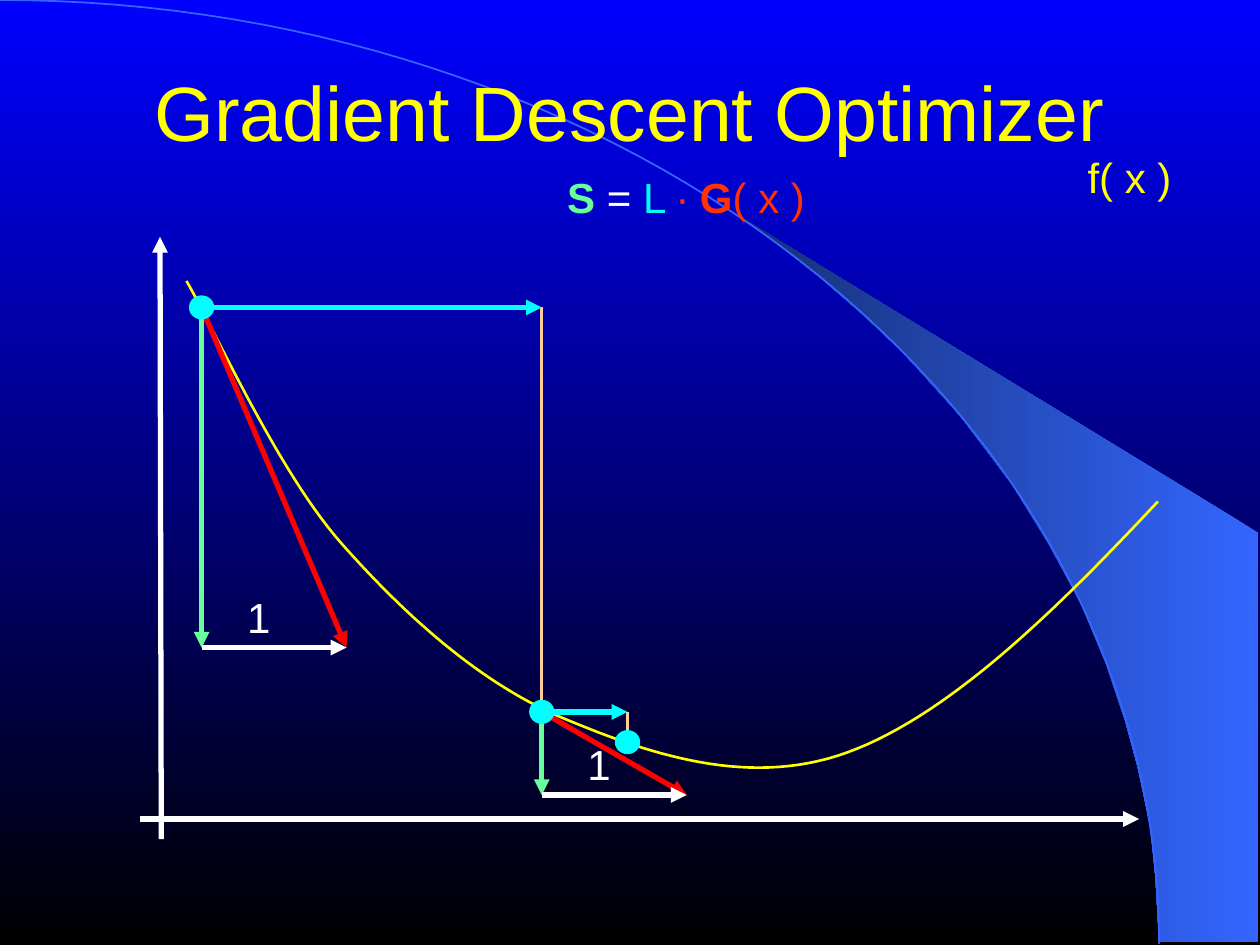
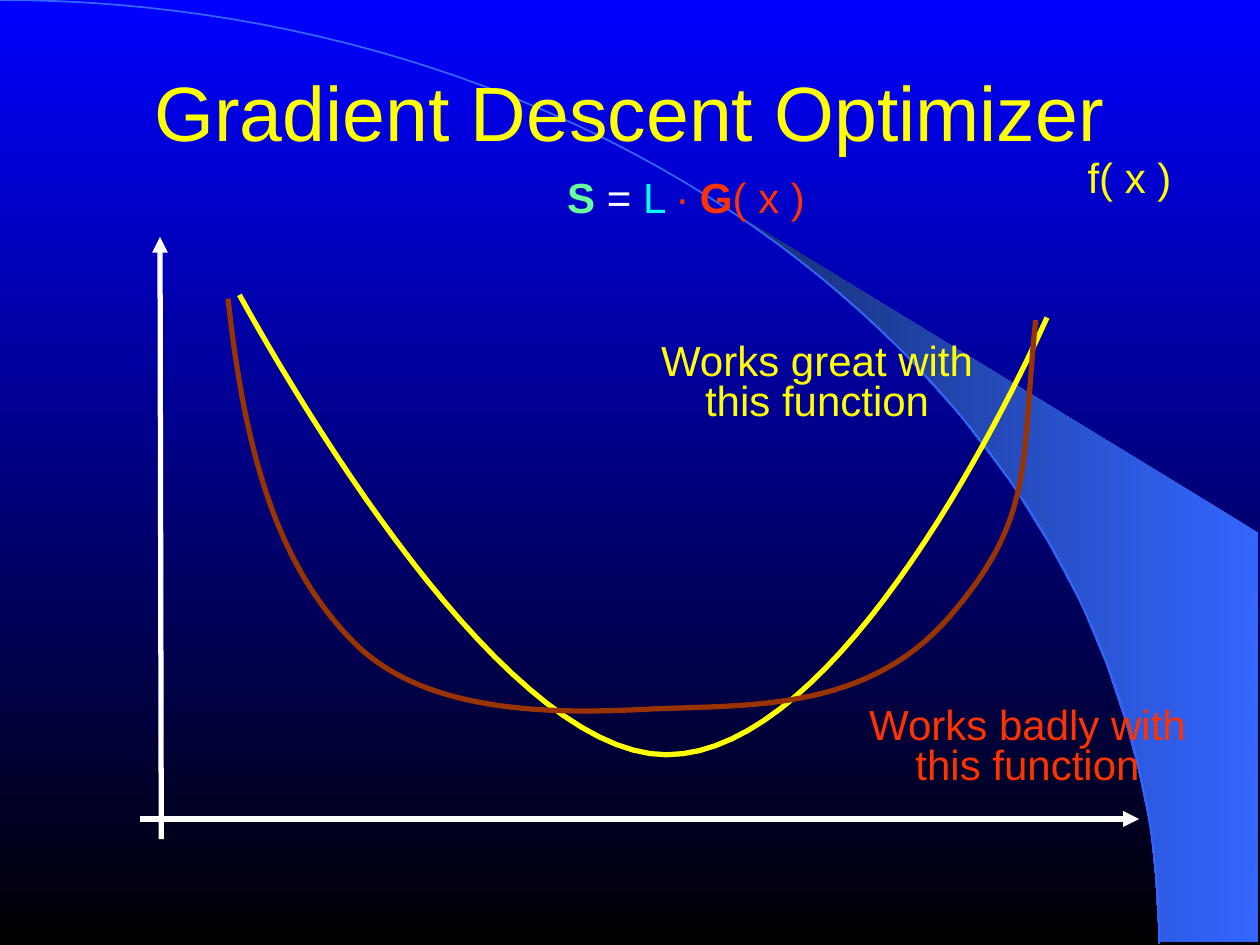
from dataclasses import dataclass
from math import cos, pi, sin

from lxml import etree
from pptx import Presentation
from pptx.dml.color import RGBColor
from pptx.dml.fill import FillFormat
from pptx.enum.shapes import MSO_CONNECTOR, MSO_SHAPE
from pptx.enum.text import MSO_ANCHOR, MSO_AUTO_SIZE, PP_ALIGN
from pptx.oxml.ns import qn
from pptx.shapes.autoshape import Shape
from pptx.slide import Slide
from pptx.util import Cm, Pt

STRAIGHT = MSO_CONNECTOR.STRAIGHT
ELLIPSE = MSO_SHAPE.OVAL
MIDDLE = MSO_ANCHOR.MIDDLE
GROW = MSO_AUTO_SIZE.SHAPE_TO_FIT_TEXT
CENTER = PP_ALIGN.CENTER

FONT = "Arial"
COLORS = {
    "sky": "0000FF",
    "black": "000000",
    "band": "3366FF",
    "band_dark": "172F75",
    "yellow": "FFFF00",
    "white": "FFFFFF",
    "cyan": "00FFFF",
    "green": "66FF99",
    "red": "FF0000",
    "orange": "FF3300",
    "peach": "FFCC99",
    "brown": "993300",
}

Point = tuple[float, float]

WEDGE: list[Point] = [
    (9.2, 7.48), (9.99, 7.48), (9.99, 4.23), (5.89, 1.73), (6.24, 1.99),
    (6.53, 2.22), (6.85, 2.5), (7.16, 2.79), (7.62, 3.3), (8.03, 3.84),
    (8.32, 4.31), (8.58, 4.79), (8.78, 5.27), (8.93, 5.72), (9.03, 6.09),
    (9.13, 6.56), (9.17, 6.96),
]
ARC_WIDTH, ARC_HEIGHT, ARC_STEPS = 9.2, 7.49, 62
CURVE_STEPS = 30
UNIT_RUN = 1.15
LABEL_HEIGHT = 0.42


@dataclass(frozen=True)
class Span:
    text: str
    color: str
    bold: bool = False


@dataclass(frozen=True)
class Label:
    left: float
    top: float
    width: float
    height: float
    spans: tuple[Span, ...]


@dataclass(frozen=True)
class Curve:
    color: str
    weight: float
    controls: tuple[Point, ...]


@dataclass(frozen=True)
class Step:
    start: Point
    fall: float
    stride: float
    landing: float


TITLE = Label(0.75, 0.12, 8.5, 1.51, (Span("Gradient Descent Optimizer", "yellow"),))
FUNCTION_NAME = Label(8.15, 1.23, 1.63, LABEL_HEIGHT, (Span("f( x )", "yellow"),))
STEP_FORMULA = Label(3.92, 1.39, 3.05, LABEL_HEIGHT, (
    Span("S ", "green", True),
    Span("= ", "white"),
    Span("L ", "cyan"),
    Span("∙ ", "orange"),
    Span("G", "orange", True),
    Span("( x )", "orange"),
))
VERDICTS = (
    Label(4.96, 2.68, 3.05, 0.74, (Span("Works great with this function", "yellow"),)),
    Label(6.63, 5.57, 3.05, 0.74, (Span("Works badly with this function", "orange"),)),
)

DESCENT_CURVE = Curve("yellow", 1.5, (
    (1.48, 2.23), (1.68, 2.57), (2.19, 3.71), (2.69, 4.29),
    (3.19, 4.86), (3.8, 5.42), (4.47, 5.7),
    (5.14, 5.98), (5.94, 6.26), (6.73, 5.97),
    (7.52, 5.68), (8.36, 4.87), (9.19, 3.98),
))
COMPARED_CURVES = (
    Curve("yellow", 3, (
        (1.9, 2.34), (2.32, 3.1), (3.99, 5.99), (5.29, 5.99),
        (6.59, 5.99), (7.89, 3.45), (8.31, 2.52),
    )),
    Curve("brown", 3, (
        (1.81, 2.37), (1.96, 3.77), (2.27, 4.56), (2.82, 5.11),
        (3.37, 5.65), (4.33, 5.67), (5.11, 5.63),
        (5.9, 5.59), (6.87, 5.67), (7.54, 4.89),
        (8.22, 4.1), (8.1, 3.7), (8.22, 2.54),
    )),
)
STEPS = (
    Step((1.6, 2.44), 2.7, 2.7, 5.65),
    Step((4.3, 5.65), 0.66, 0.68, 5.89),
)


def length(inches: float) -> Cm:
    return Cm(inches * 2.54)


def rgb(color: str) -> RGBColor:
    return RGBColor.from_string(COLORS[color])


def fill_gradient(fill: FillFormat, angle: float, first: str, last: str) -> None:
    fill.gradient()
    fill.gradient_angle = angle
    for stop, color in zip(fill.gradient_stops, (first, last)):
        stop.color.rgb = rgb(color)


def add_outline(page: Slide, points: list[Point], close: bool) -> Shape:
    corners = [(length(x), length(y)) for x, y in points]
    builder = page.shapes.build_freeform(*corners[0], scale=1.0)
    builder.add_line_segments(corners[1:], close=close)
    outline = builder.convert_to_shape()
    outline.shadow.inherit = False
    return outline


def add_open_line(page: Slide, points: list[Point], color: str, weight: float) -> None:
    outline = add_outline(page, points, False)
    outline.fill.background()
    outline.line.color.rgb = rgb(color)
    outline.line.width = Pt(weight)


def add_curve(page: Slide, curve: Curve) -> None:
    points = [curve.controls[0]]
    for first in range(0, len(curve.controls) - 1, 3):
        a, b, c, d = curve.controls[first:first + 4]
        for index in range(1, CURVE_STEPS + 1):
            t = index / CURVE_STEPS
            weights = ((1 - t) ** 3, 3 * t * (1 - t) ** 2, 3 * t ** 2 * (1 - t), t ** 3)
            x, y = (
                sum(weight * point[axis] for weight, point in zip(weights, (a, b, c, d)))
                for axis in (0, 1)
            )
            points.append((x, y))
    add_open_line(page, points, curve.color, curve.weight)


def add_line(
    page: Slide, start: Point, end: Point, color: str, weight: float = 3, arrow: bool = True
) -> None:
    ends = [length(value) for value in (*start, *end)]
    line = page.shapes.add_connector(STRAIGHT, *ends)
    line.line.color.rgb = rgb(color)
    line.line.width = Pt(weight)
    properties = line._element.spPr
    if arrow:
        etree.SubElement(properties.find(qn("a:ln")), qn("a:tailEnd"), type="triangle")
    etree.SubElement(properties, qn("a:effectLst"))


def add_dot(page: Slide, center: Point) -> None:
    width, height = 0.18, 0.17
    x, y = center
    dot = page.shapes.add_shape(
        ELLIPSE, length(x - width / 2), length(y - height / 2), length(width), length(height)
    )
    dot.shadow.inherit = False
    dot.fill.solid()
    dot.fill.fore_color.rgb = rgb("cyan")
    dot.line.color.rgb = rgb("cyan")
    dot.line.width = Pt(1.5)


def add_text(page: Slide, label: Label, size: float) -> Shape:
    box = page.shapes.add_textbox(
        length(label.left), length(label.top), length(label.width), length(label.height)
    )
    box.text_frame.word_wrap = True
    para = box.text_frame.paragraphs[0]
    para.alignment = CENTER
    for span in label.spans:
        run = para.add_run()
        run.text = span.text
        run.font.name = FONT
        run.font.size = Pt(size)
        run.font.bold = span.bold
        run.font.color.rgb = rgb(span.color)
    return box


def add_title(page: Slide) -> None:
    frame = add_text(page, TITLE, 44).text_frame
    frame.vertical_anchor = MIDDLE
    frame.margin_left = frame.margin_right = frame.margin_top = frame.margin_bottom = Cm(0)


def add_label(page: Slide, label: Label) -> None:
    frame = add_text(page, label, 24).text_frame
    frame.auto_size = GROW
    frame.paragraphs[0].line_spacing = 0.8


def add_backdrop(page: Slide) -> None:
    fill_gradient(page.background.fill, 270, "sky", "black")
    wedge = add_outline(page, WEDGE, True)
    fill_gradient(wedge.fill, 180, "band", "band_dark")
    wedge.line.fill.background()
    angles = [index * pi / 2 / ARC_STEPS for index in range(ARC_STEPS + 1)]
    arc = [(ARC_WIDTH * cos(angle), ARC_HEIGHT * (1 - sin(angle))) for angle in angles]
    add_open_line(page, arc, "band", 1)


def add_graph_page(deck: Presentation) -> Slide:
    page = deck.slides.add_slide(deck.slide_layouts[6])
    add_backdrop(page)
    add_title(page)
    add_label(page, FUNCTION_NAME)
    add_line(page, (1.28, 6.66), (1.27, 1.88), "white")
    add_line(page, (1.11, 6.5), (9.04, 6.5), "white")
    add_label(page, STEP_FORMULA)
    return page


def add_step(page: Slide, step: Step) -> None:
    x, y = step.start
    foot = (x, y + step.fall)
    slope_end = (x + UNIT_RUN, y + step.fall)
    stride_end = (x + step.stride, y)
    add_line(page, step.start, slope_end, "red")
    add_line(page, stride_end, (x + step.stride, step.landing), "peach", 1.5, False)
    add_line(page, step.start, foot, "green")
    add_line(page, foot, slope_end, "white")
    add_label(page, Label(
        x + 0.22, foot[1] - LABEL_HEIGHT, 0.47, LABEL_HEIGHT, (Span("1", "white"),)
    ))
    add_dot(page, step.start)
    add_line(page, step.start, stride_end, "cyan")


def add_descent_page(deck: Presentation) -> None:
    page = add_graph_page(deck)
    add_curve(page, DESCENT_CURVE)
    for step in STEPS:
        add_step(page, step)
    last = STEPS[-1]
    add_dot(page, (last.start[0] + last.stride, last.landing))


def add_comparison_page(deck: Presentation) -> None:
    page = add_graph_page(deck)
    for curve in COMPARED_CURVES:
        add_curve(page, curve)
    for verdict in VERDICTS:
        add_label(page, verdict)


def main() -> None:
    deck = Presentation()
    deck.slide_width, deck.slide_height = Cm(25.4), Cm(19.05)
    add_descent_page(deck)
    add_comparison_page(deck)
    deck.save("out.pptx")


if __name__ == "__main__":
    main()
